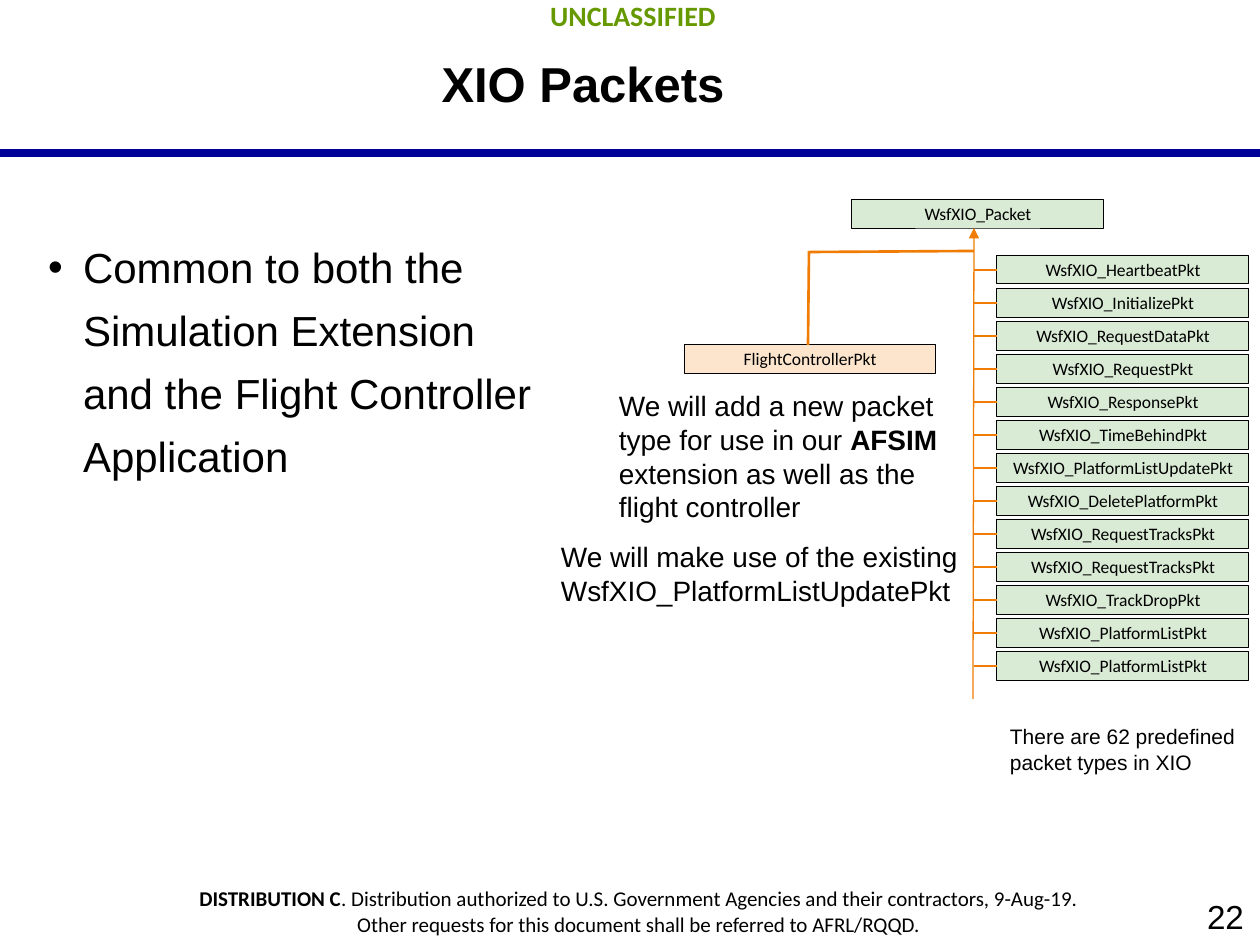
from dataclasses import dataclass

from lxml import etree
from pptx import Presentation
from pptx.dml.color import RGBColor
from pptx.enum.shapes import MSO_CONNECTOR, MSO_SHAPE
from pptx.enum.text import MSO_ANCHOR, PP_ALIGN
from pptx.oxml.ns import qn
from pptx.util import Pt

RECT, LINE = MSO_SHAPE.RECTANGLE, MSO_CONNECTOR.STRAIGHT
TOP, MID = MSO_ANCHOR.TOP, MSO_ANCHOR.MIDDLE
LEFT, MIDDLE, RIGHT = PP_ALIGN.LEFT, PP_ALIGN.CENTER, PP_ALIGN.RIGHT
PX = 914400 / 126


@dataclass
class Theme:
    ink = RGBColor(0, 0, 0)
    navy = RGBColor.from_string("000099")
    mark = RGBColor.from_string("669900")
    green = RGBColor.from_string("D9EAD5")
    peach = RGBColor.from_string("FDE5CD")
    orange = RGBColor.from_string("F07C03")
    sans = "Arial"
    label = "Calibri"
    title = 28
    body = 24
    page = 19
    note = 16
    small = 12
    box = 10


def write(shape, paras, size, font=Theme.sans, align=LEFT, anchor=TOP,
          pad=(13, 6), color=Theme.ink):
    """Fill a shape with paragraphs, each a list of (text, bold) runs."""
    frame = shape.text_frame
    frame.word_wrap = True
    frame.vertical_anchor = anchor
    frame.margin_left = frame.margin_right = round(pad[0] * PX)
    frame.margin_top = frame.margin_bottom = round(pad[1] * PX)
    for i, runs in enumerate(paras):
        para = frame.add_paragraph() if i else frame.paragraphs[0]
        para.alignment = align
        for text, bold in runs:
            run = para.add_run()
            run.text = text
            run.font.name, run.font.size = font, Pt(size)
            run.font.bold, run.font.color.rgb = bold, color
    return frame


def area(*at):
    return [round(v * PX) for v in at]


deck = Presentation()
deck.slide_width, deck.slide_height = area(1260, 945)
slide = deck.slides.add_slide(deck.slide_layouts[5])
shapes = slide.shapes

# Title and rule
title = shapes.title
title.left, title.top, title.width, title.height = area(126, 4, 914, 157)
write(title, [[("XIO Packets", True)]], Theme.title, align=MIDDLE,
      anchor=MID, pad=(16, 9))
rule = shapes.add_shape(RECT, *area(0, 149, 1260, 8))
rule.shadow.inherit = False
rule.fill.solid()
rule.fill.fore_color.rgb = Theme.navy
rule.line.fill.background()

# Marking, page number and distribution statement
mark = shapes.add_textbox(*area(3, -10, 1260, 50))
write(mark, [[("UNCLASSIFIED", True)]], Theme.note, Theme.label, MIDDLE,
      pad=(16, 9), color=Theme.mark)
page = shapes.add_textbox(*area(1008, 888, 252, 57))
write(page, [[("22", False)]], Theme.page, align=RIGHT, anchor=MID, pad=(16, 9))
foot = shapes.add_textbox(*area(8, 877, 1262, 68))
write(foot, [
    [("DISTRIBUTION C", True),
     (". Distribution authorized to U.S. Government Agencies and their "
      "contractors, 9-Aug-19.", False)],
    [("Other requests for this document shall be referred to AFRL/RQQD.", False)],
], Theme.small, Theme.label, MIDDLE, pad=(16, 9))

# Bullet text
body = shapes.add_textbox(*area(0, 220, 558, 624))
frame = write(body, [[("Common to both the Simulation Extension and the Flight "
                       "Controller Application", False)]], Theme.body, pad=(16, 9))
para = frame.paragraphs[0]
para.line_spacing = 1.25
props = para._p.get_or_add_pPr()
props.set("marL", str(round(67 * PX)))
props.set("indent", str(round(-35 * PX)))
etree.SubElement(props, qn("a:buFont")).set("typeface", Theme.sans)
etree.SubElement(props, qn("a:buChar")).set("char", "•")

# Packet boxes
names = ["Heartbeat", "Initialize", "RequestData", "Request", "Response",
         "TimeBehind", "PlatformListUpdate", "DeletePlatform", "RequestTracks",
         "RequestTracks", "TrackDrop", "PlatformList", "PlatformList"]
first, step, trunk, edge = 255, 33, 974, 997
boxes = [("WsfXIO_Packet", 852, 199, Theme.green),
         ("FlightControllerPkt", 684, 344, Theme.peach)]
boxes += [(f"WsfXIO_{name}Pkt", edge, first + step * i, Theme.green)
          for i, name in enumerate(names)]
for text, x, y, fill in boxes:
    box = shapes.add_shape(RECT, *area(x, y, 252, 29))
    box.shadow.inherit = False
    box.fill.solid()
    box.fill.fore_color.rgb = fill
    box.line.color.rgb = Theme.ink
    box.line.width = Pt(0.5)
    write(box, [[(text, False)]], Theme.box, Theme.label, MIDDLE, MID)

# Inheritance lines: trunk, flight controller branch, one stub per packet
links = [(trunk, 228, 973, 699, 0.75),
         (trunk, 251, 810, 252, 1.5),
         (809, 251, 808, 345, 1.5)]
links += [(trunk, y, edge, y, 0.75)
          for y in (first + 15 + step * i for i in range(len(names)))]
for i, (x1, y1, x2, y2, width) in enumerate(links):
    link = shapes.add_connector(LINE, *area(x1, y1, x2, y2))
    link.line.color.rgb = Theme.orange
    link.line.width = Pt(width)
    if i == 0:
        etree.SubElement(link.line._ln, qn("a:headEnd")).set("type", "triangle")
    etree.SubElement(link._element.spPr, qn("a:effectLst"))

# Notes
notes = [
    ((997, 718, 252, 63), Theme.small,
     [("There are 62 predefined packet types in XIO", False)]),
    ((606, 383, 367, 149), Theme.note,
     [("We will add a new packet type for use in our ", False), ("AFSIM", True),
      (" extension as well as the flight controller", False)]),
    ((548, 534, 426, 81), Theme.note,
     [("We will make use of the existing WsfXIO_PlatformListUpdatePkt", False)]),
]
for at, size, runs in notes:
    write(shapes.add_textbox(*area(*at)), [runs], size)

deck.save("out.pptx")
